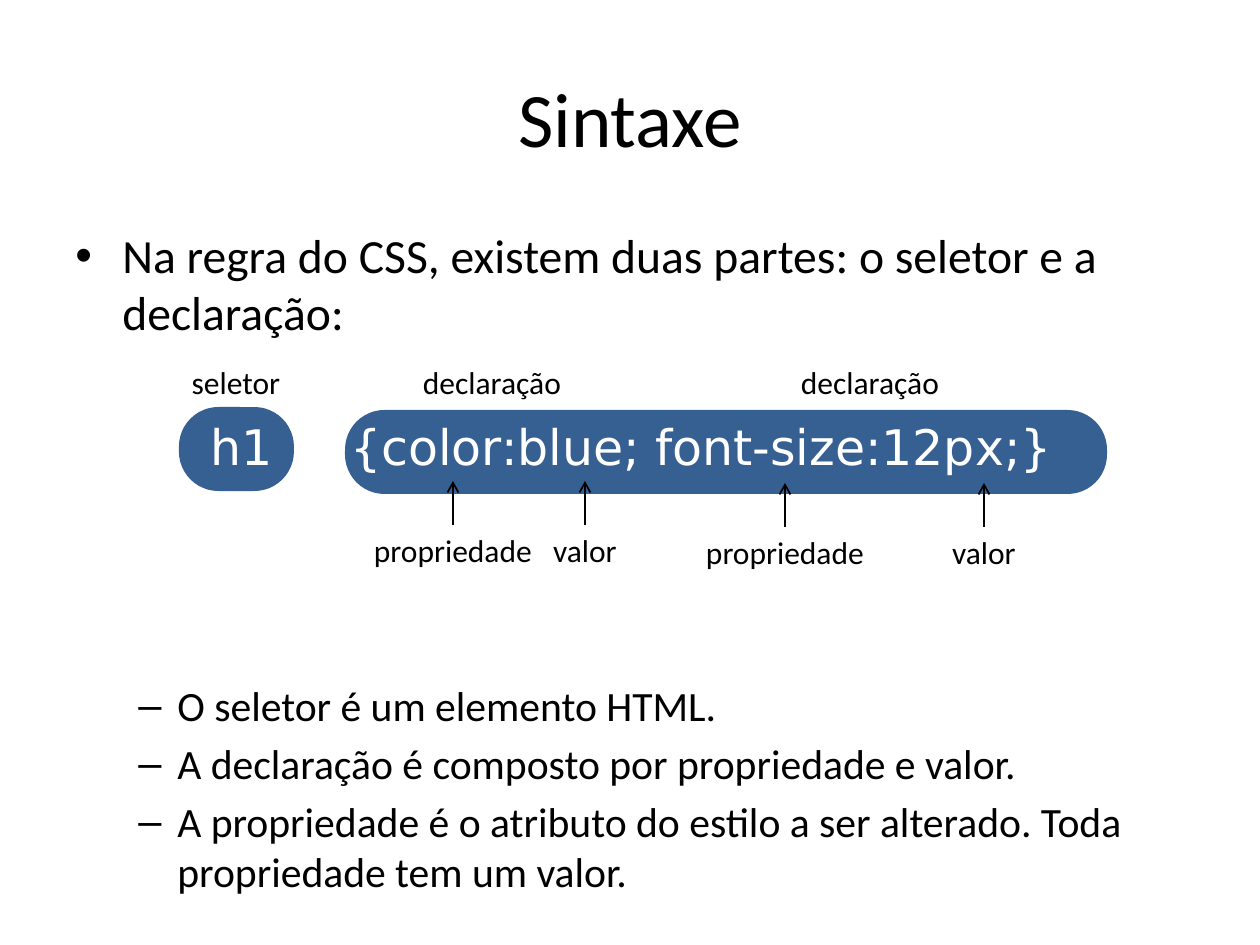
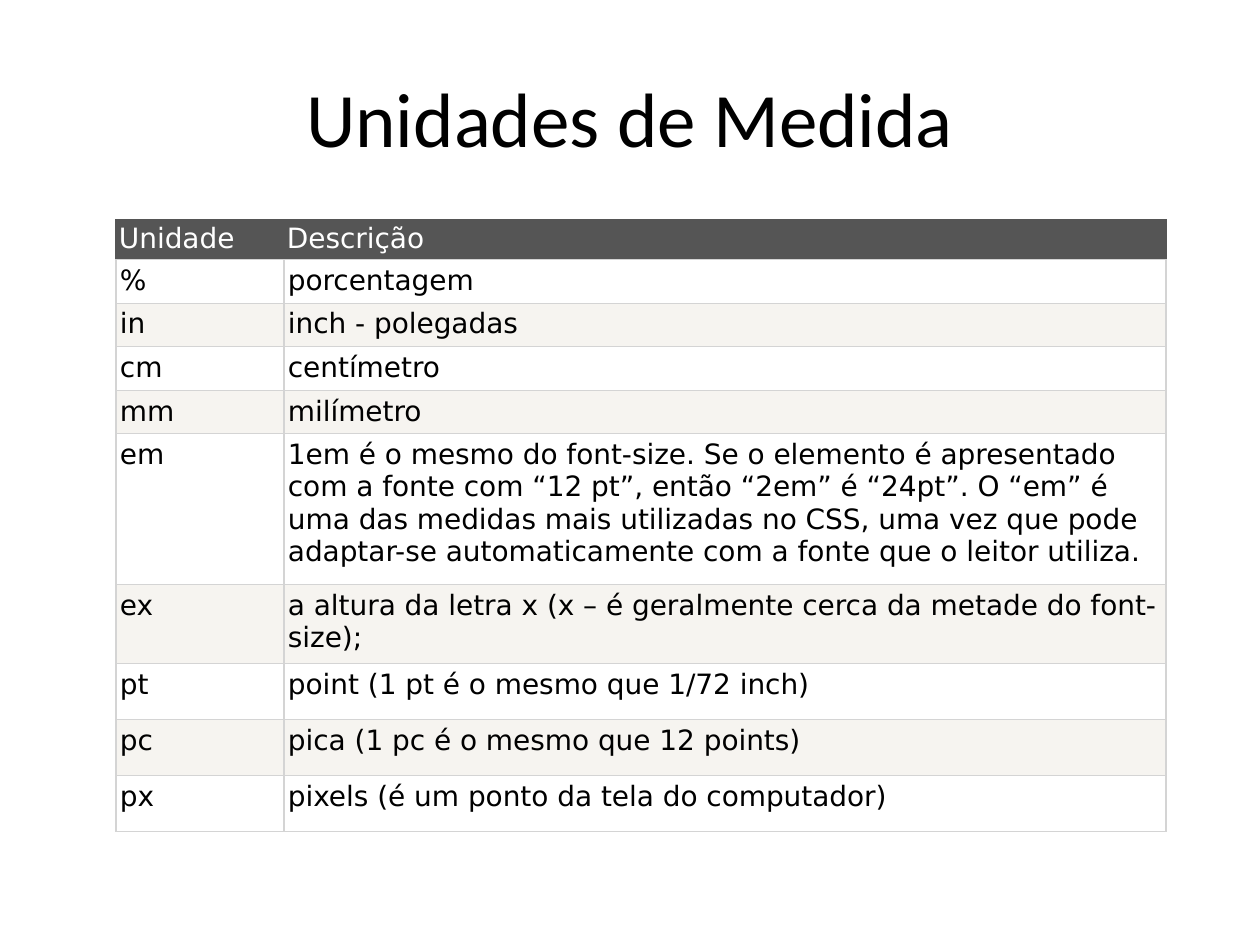
from lxml.etree import SubElement
from pptx import Presentation
from pptx.dml.color import RGBColor
from pptx.enum.shapes import MSO_CONNECTOR as Connector, MSO_SHAPE as Shape
from pptx.enum.text import MSO_ANCHOR as Anchor, PP_ALIGN as Align
from pptx.oxml import parse_xml
from pptx.oxml.ns import nsdecls, qn
from pptx.util import Pt

PX = 914400 / 126
BLACK, WHITE, BLUE = "000000", "FFFFFF", "376092"
HEADER, STRIPE, GRID = "555555", "F6F4F0", "D4D4D4"
SANS, CODE = "Calibri", "DejaVu Sans"

INTRO = "Na regra do CSS, existem duas partes: o seletor e a declaração:"
POINTS = [
    "O seletor é um elemento HTML.",
    "A declaração é composto por propriedade e valor.",
    "A propriedade é o atributo do estilo a ser alterado. Toda propriedade tem um valor.",
]
RULE = "h1\t{color:blue; font-size:12px;}"
RULE_PILLS = [(179, 407, 115), (345, 410, 762)]
LABEL_WIDTHS = {"seletor": 114, "declaração": 166, "propriedade": 186, "valor": 90}
PARTS = [("seletor", 236), ("declaração", 492), ("declaração", 870)]
POINTED_PARTS = [("propriedade", 453, 525), ("valor", 585, 525),
                 ("propriedade", 785, 527), ("valor", 984, 527)]
ARROW_LENGTH = 44

UNITS = [
    ("Unidade", "Descrição", 37),
    ("%", "porcentagem", 43),
    ("in", "inch - polegadas", 43),
    ("cm", "centímetro", 43),
    ("mm", "milímetro", 43),
    ("em", "1em é o mesmo do font-size. Se o elemento é apresentado com a fonte com "
           "“12 pt”, então “2em” é “24pt”. O “em” é uma das medidas mais utilizadas no CSS, "
           "uma vez que pode adaptar-se automaticamente com a fonte que o leitor utiliza.", 151),
    ("ex", "a altura da letra x (x – é geralmente cerca da metade do font-size);", 79),
    ("pt", "point (1 pt é o mesmo que 1/72 inch)", 56),
    ("pc", "pica (1 pc é o mesmo que 12 points)", 56),
    ("px", "pixels (é um ponto da tela do computador)", 56),
]
COLUMNS = [168, 882]


def px(*lengths):
    return [round(length * PX) for length in lengths]


def rgb(value):
    return RGBColor.from_string(value)


def write(paragraph, text, size=18, font=SANS, color=BLACK, align=Align.LEFT,
          before=0, bullet=None, indent=(0, 0), tab=None):
    paragraph.alignment = align
    paragraph.space_before = Pt(before)
    properties = paragraph._p.get_or_add_pPr()
    if bullet:
        margin, hanging = px(*indent)
        properties.set("marL", str(margin))
        properties.set("indent", str(-hanging))
        SubElement(properties, qn("a:buFont"), typeface="Arial")
        SubElement(properties, qn("a:buChar"), char=bullet)
    if tab:
        stops = SubElement(properties, qn("a:tabLst"))
        SubElement(stops, qn("a:tab"), pos=str(px(tab)[0]), algn="l")
    run = paragraph.add_run()
    run.text = text
    run.font.size, run.font.name = Pt(size), font
    run.font.color.rgb = rgb(color)


def add_text(slide, box, text, wrap=True, anchor=Anchor.TOP, **style):
    shape = slide.shapes.add_textbox(*px(*box))
    frame = shape.text_frame
    frame.word_wrap = wrap
    frame.vertical_anchor = anchor
    write(frame.paragraphs[0], text, **style)
    return shape


def add_slide(presentation, title):
    slide = presentation.slides.add_slide(presentation.slide_layouts[6])
    add_text(slide, (63, 38, 1134, 157), title, anchor=Anchor.MIDDLE, size=44, align=Align.CENTER)
    return slide


def add_label(slide, text, center, top):
    width = LABEL_WIDTHS[text]
    return add_text(slide, (center - width // 2, top, width, 50), text,
                    wrap=False, align=Align.CENTER)


def add_arrow(slide, label, center, bottom):
    arrow = slide.shapes.add_connector(
        Connector.STRAIGHT, *px(center, bottom, center, bottom - ARROW_LENGTH))
    arrow.begin_connect(label, 0)
    arrow.line.color.rgb = rgb(BLACK)
    arrow.line.width = Pt(1)
    SubElement(arrow.line._get_or_add_ln(), qn("a:tailEnd"), type="arrow")
    SubElement(arrow._element.spPr, qn("a:effectLst"))


def add_pill(slide, left, top, width):
    pill = slide.shapes.add_shape(Shape.ROUNDED_RECTANGLE, *px(left, top, width, 84))
    pill.adjustments[0] = 0.47
    pill.shadow.inherit = False
    pill.fill.solid()
    pill.fill.fore_color.rgb = rgb(BLUE)
    pill.line.fill.background()


def build_syntax(presentation):
    slide = add_slide(presentation, "Sintaxe")
    body = add_text(slide, (63, 220, 1134, 624), INTRO, size=27.2, bullet="•", indent=(47, 47))
    for index, point in enumerate(POINTS):
        write(body.text_frame.add_paragraph(), point, size=23.8, bullet="–",
              indent=(102, 39), before=4.5 if index else 194)
    for pill in RULE_PILLS:
        add_pill(slide, *pill)
    add_text(slide, (198, 410, 908, 72), RULE, size=28, font=CODE, color=WHITE, tab=140)
    for text, center in PARTS:
        add_label(slide, text, center, 357)
    for text, center, top in POINTED_PARTS:
        label = add_label(slide, text, center, top)
        add_arrow(slide, label, center, top)


def set_borders(cell, **colors):
    properties = cell._tc.get_or_add_tcPr()
    for index, side in enumerate("LRTB"):
        properties.insert(index, parse_xml(
            f'<a:ln{side} {nsdecls("a")} w="9525"><a:solidFill>'
            f'<a:srgbClr val="{colors.get(side, GRID)}"/></a:solidFill></a:ln{side}>'))


def fill_cell(cell, text, row):
    header = row == 0
    side, edge = px(3, 3) if header else px(4, 5)
    cell.margin_left = cell.margin_right = side
    cell.margin_top = cell.margin_bottom = edge
    cell.fill.solid()
    cell.fill.fore_color.rgb = rgb(HEADER if header else WHITE if row % 2 else STRIPE)
    set_borders(cell, **(dict.fromkeys("LRT", HEADER) if header else {}))
    write(cell.text_frame.paragraphs[0], text, size=16, font=CODE,
          color=WHITE if header else BLACK)


def build_units(presentation):
    slide = add_slide(presentation, "Unidades de Medida")
    height = sum(unit[2] for unit in UNITS)
    table = slide.shapes.add_table(
        len(UNITS), len(COLUMNS), *px(116, 220, sum(COLUMNS), height)).table
    table.first_row = table.horz_banding = False
    for column, width in zip(table.columns, px(*COLUMNS)):
        column.width = width
    for row, (unit, description, row_height) in enumerate(UNITS):
        table.rows[row].height = px(row_height)[0]
        for column, text in enumerate((unit, description)):
            fill_cell(table.cell(row, column), text, row)


def main():
    presentation = Presentation()
    presentation.slide_width, presentation.slide_height = px(1260, 945)
    build_syntax(presentation)
    build_units(presentation)
    presentation.save("out.pptx")


if __name__ == "__main__":
    main()
